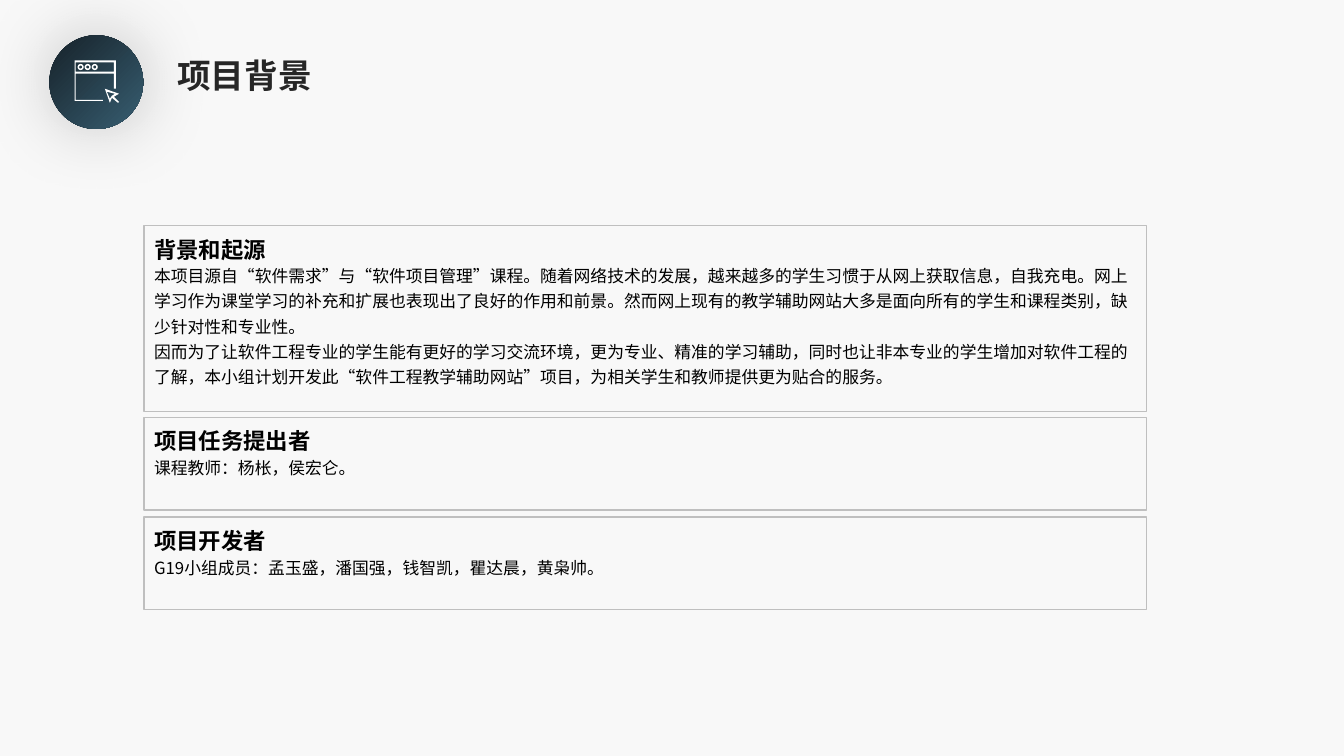
"""Builds the project background slide: icon, title and three framed sections."""
from math import cos, pi, sin

from lxml.etree import SubElement as Sub
from pptx import Presentation
from pptx.dml.color import RGBColor as RGB
from pptx.enum.shapes import MSO_SHAPE as SHAPE
from pptx.enum.text import MSO_AUTO_SIZE as AUTO
from pptx.oxml.ns import qn
from pptx.util import Inches, Pt

FONT = "Noto Sans CJK SC"
COLORS = {
    "back": "F8F8F8", "dark": "17232B", "teal": "395F72", "white": "FFFFFF",
    "title": "262626", "text": "000000", "frame": "BFBFBF", "shade": "000000",
}


def color(name):
    return RGB.from_string(COLORS[name])


def add_text(left, top, width, height, lines, size, tint="text", bold=False, space=1.0):
    box = slide.shapes.add_textbox(Inches(left), Inches(top), Inches(width), Inches(height))
    frame = box.text_frame
    frame.word_wrap = True
    frame.auto_size = AUTO.SHAPE_TO_FIT_TEXT
    frame.text = "\n".join(lines)
    for para in frame.paragraphs:
        para.line_spacing = space
        for run in para.runs:
            font = run.font
            font.name, font.size, font.bold = FONT, Pt(size), bold
            font.color.rgb = color(tint)
            Sub(run._r.get_or_add_rPr(), qn("a:ea"), typeface=FONT)


deck = Presentation()
deck.slide_width, deck.slide_height = Inches(13.33), Inches(7.5)
slide = deck.slides.add_slide(deck.slide_layouts[6])
slide.background.fill.solid()
slide.background.fill.fore_color.rgb = color("back")

disc = slide.shapes.add_shape(SHAPE.OVAL, Inches(0.49), Inches(0.35), Inches(0.93), Inches(0.93))
disc.line.fill.background()
disc.fill.gradient()
disc.fill.gradient_angle = 315
for stop, name, spot in zip(disc.fill.gradient_stops, ("dark", "teal"), (0, 1)):
    stop.color.rgb = color(name)
    stop.position = spot

window = [(0.74, 0.6), (1.15, 0.6), (1.15, 0.88), (1.13, 0.88), (1.13, 0.73),
          (0.75, 0.73), (0.75, 0.99), (1.02, 0.99), (1.02, 1), (0.74, 1)]
header = [(0.75, 0.62), (0.75, 0.71), (1.13, 0.71), (1.13, 0.62)]
arrow = [(1.04, 0.88), (1.18, 0.93), (1.13, 0.96), (1.18, 1.01), (1.17, 1.02),
         (1.11, 0.97), (1.09, 1.02)]
hollow = [(1.06, 0.91), (1.09, 0.98), (1.11, 0.95), (1.14, 0.93)]
rings = [[(mid + rad * cos(step * pi / 12), 0.665 + rad * sin(step * pi / 12))
          for step in range(24)]
         for mid in (0.8, 0.87, 0.94) for rad in (0.03, 0.015)]
pen = slide.shapes.build_freeform(Inches(0.74), Inches(0.6))
for outline in [window, header, arrow, hollow, *rings]:
    points = [(Inches(x), Inches(y)) for x, y in outline]
    pen.move_to(*points[0])
    pen.add_line_segments(points[1:], close=True)
icon = pen.convert_to_shape()
icon.fill.solid()
icon.fill.fore_color.rgb = color("white")
icon.line.fill.background()

for shape in (disc, icon):
    shape.shadow.inherit = False
    effects = shape._element.spPr.find(qn("a:effectLst"))
    glow = Sub(effects, qn("a:outerShdw"), blurRad=str(Pt(53)), dist="0", dir="0",
               algn="ctr", rotWithShape="0")
    Sub(Sub(glow, qn("a:srgbClr"), val=COLORS["shade"]), qn("a:alpha"), val="20000")

add_text(1.66, 0.5, 3.6, 0.5, ["项目背景"], 24, "title", True)

sections = [
    (2.24, 1.84, "背景和起源", [
        "本项目源自“软件需求”与“软件项目管理”课程。随着网络技术的发展，越来越多的学生习惯于从网上获取信息，自我充电。网上学习作为课堂学习的补充和扩展也表现出了良好的作用和前景。然而网上现有的教学辅助网站大多是面向所有的学生和课程类别，缺少针对性和专业性。",
        "因而为了让软件工程专业的学生能有更好的学习交流环境，更为专业、精准的学习辅助，同时也让非本专业的学生增加对软件工程的了解，本小组计划开发此“软件工程教学辅助网站”项目，为相关学生和教师提供更为贴合的服务。",
    ]),
    (4.14, 0.92, "项目任务提出者", ["课程教师：杨枨，侯宏仑。"]),
    (5.13, 0.92, "项目开发者", ["G19小组成员：孟玉盛，潘国强，钱智凯，瞿达晨，黄枭帅。"]),
]
for top, height, head, lines in sections:
    panel = slide.shapes.add_shape(SHAPE.RECTANGLE, Inches(1.43), Inches(top),
                                   Inches(9.94), Inches(height))
    panel.shadow.inherit = False
    panel.fill.background()
    panel.line.color.rgb = color("frame")
    panel.line.width = Pt(1)
    add_text(1.43, top + 0.3, 9.94, height - 0.5, lines, 12, space=1.25)
    add_text(1.43, top, 8.61, 0.4, [head], 16, bold=True, space=1.2)

deck.save("out.pptx")
